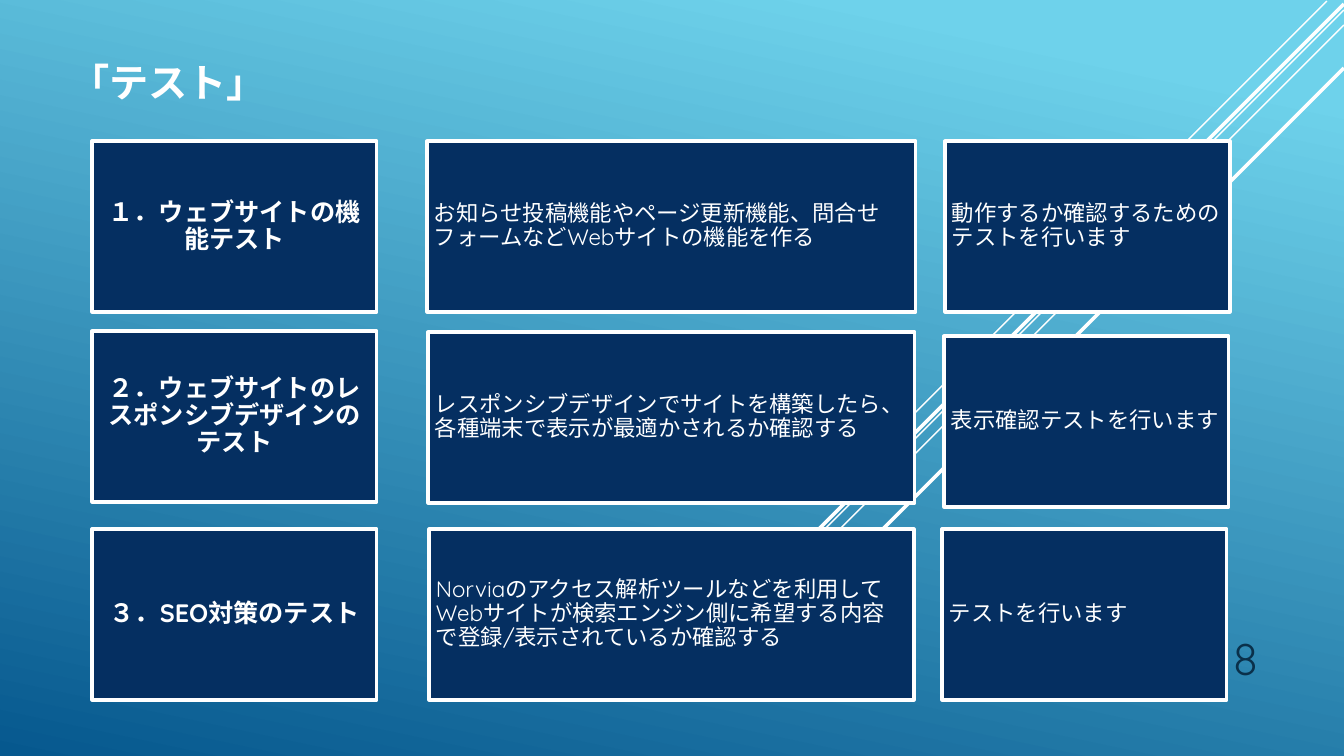
import pptx
import pptx.dml.color
import pptx.enum.shapes
import pptx.enum.text
import pptx.oxml.xmlchemy
import pptx.util

PX = 914400 / 100.8
FONT = "Quicksand"
COLORS = {"sky": "6ED2EB", "sea": "06588E", "navy": "052F61",
          "white": "FFFFFF", "number": "0A304A"}
ALIGN = pptx.enum.text.PP_ALIGN
ANCHOR = pptx.enum.text.MSO_ANCHOR


def px(value):
    return pptx.util.Emu(round(value * PX))


def rgb(name):
    return pptx.dml.color.RGBColor.from_string(COLORS[name])


class Deck:
    """Hold the style and the current slide, and draw each kind of element."""

    def __init__(self, width, height):
        self.prs = pptx.Presentation()
        self.prs.slide_width, self.prs.slide_height = px(width), px(height)
        self.s = self.prs.slides.add_slide(self.prs.slide_layouts[5])

    def background(self, start, end, angle):
        fill = self.s.background.fill
        fill.gradient()
        fill.gradient_angle = 360 - angle
        for stop, (position, color) in zip(fill.gradient_stops, (start, end)):
            stop.position = position
            stop.color.rgb = rgb(color)

    def set_text(self, sp, text, size, color="white", bold=False,
                 align=ALIGN.LEFT, anchor=ANCHOR.MIDDLE, spacing=1.0, inset=None):
        tf = sp.text_frame
        tf.word_wrap = True
        tf.vertical_anchor = anchor
        if inset is not None:
            tf.margin_left = tf.margin_right = px(inset)
            tf.margin_top = tf.margin_bottom = px(inset)
        p = tf.paragraphs[0]
        p.text = text
        p.alignment = align
        p.line_spacing = spacing
        p.font.name, p.font.size, p.font.bold = FONT, pptx.util.Pt(size), bold
        p.font.color.rgb = rgb(color)

    def title(self, x, y, w, h, text):
        sp = self.s.shapes.title
        sp.left, sp.top, sp.width, sp.height = map(px, (x, y, w, h))
        self.set_text(sp, text, 28, bold=True, spacing=1.5)
        sp.text_frame.auto_size = pptx.enum.text.MSO_AUTO_SIZE.SHAPE_TO_FIT_TEXT

    def diagonal(self, x, y, run, weight):
        c = self.s.shapes.add_connector(
            pptx.enum.shapes.MSO_CONNECTOR.STRAIGHT,
            px(x), px(y), px(x - run), px(y + run))
        c.line.color.rgb = rgb("white")
        c.line.width = pptx.util.Pt(weight)
        c._element.spPr.append(pptx.oxml.xmlchemy.OxmlElement("a:effectLst"))

    def card(self, x, y, w, h, text, heading):
        sp = self.s.shapes.add_shape(
            pptx.enum.shapes.MSO_SHAPE.RECTANGLE, px(x), px(y), px(w), px(h))
        sp.shadow.inherit = False
        sp.fill.solid()
        sp.fill.fore_color.rgb = rgb("navy")
        sp.line.color.rgb = rgb("white")
        sp.line.width = pptx.util.Pt(2.25)
        self.set_text(sp, text, 18 if heading else 16, bold=heading,
                      align=ALIGN.CENTER if heading else ALIGN.LEFT,
                      spacing=0.9, inset=7)

    def number(self, x, y, w, h, text):
        sp = self.s.shapes.add_textbox(px(x), px(y), px(w), px(h))
        self.set_text(sp, text, 32, "number", align=ALIGN.RIGHT, anchor=ANCHOR.BOTTOM)


DIAGONALS = [(1327, 1, 420, 1), (1344, 10, 670, 1), (1344, 25, 546, 1),
             (1344, 4, 535, 2.5), (1344, 68, 479, 2.5)]
CARD_HEIGHT = 171
ROWS = [
    [(92, 141, 285, "１．ウェブサイトの機能テスト"),
     (427, 141, 489, "お知らせ投稿機能やページ更新機能、問合せフォームなどWebサイトの機能を作る"),
     (945, 141, 285, "動作するか確認するためのテストを行います")],
    [(92, 331, 285, "２．ウェブサイトのレスポンシブデザインのテスト"),
     (428, 332, 487, "レスポンシブデザインでサイトを構築したら、各種端末で表示が最適かされるか確認する"),
     (944, 336, 285, "表示確認テストを行います")],
    [(92, 529, 285, "３．SEO対策のテスト"),
     (429, 529, 485, "Norviaのアクセス解析ツールなどを利用してWebサイトが検索エンジン側に"
                     "希望する内容で登録/表示されているか確認する"),
     (942, 529, 285, "テストを行います")],
]

deck = Deck(1344, 756)
deck.background((0.1, "sky"), (1, "sea"), 102)
for diagonal in DIAGONALS:
    deck.diagonal(*diagonal)
for row in ROWS:
    for column, (x, y, w, text) in enumerate(row):
        deck.card(x, y, w, CARD_HEIGHT, text, heading=column == 0)
deck.number(1142, 615, 126, 74, "8")
deck.title(60, 32, 476, 76, "「テスト」")
deck.prs.save("out.pptx")
